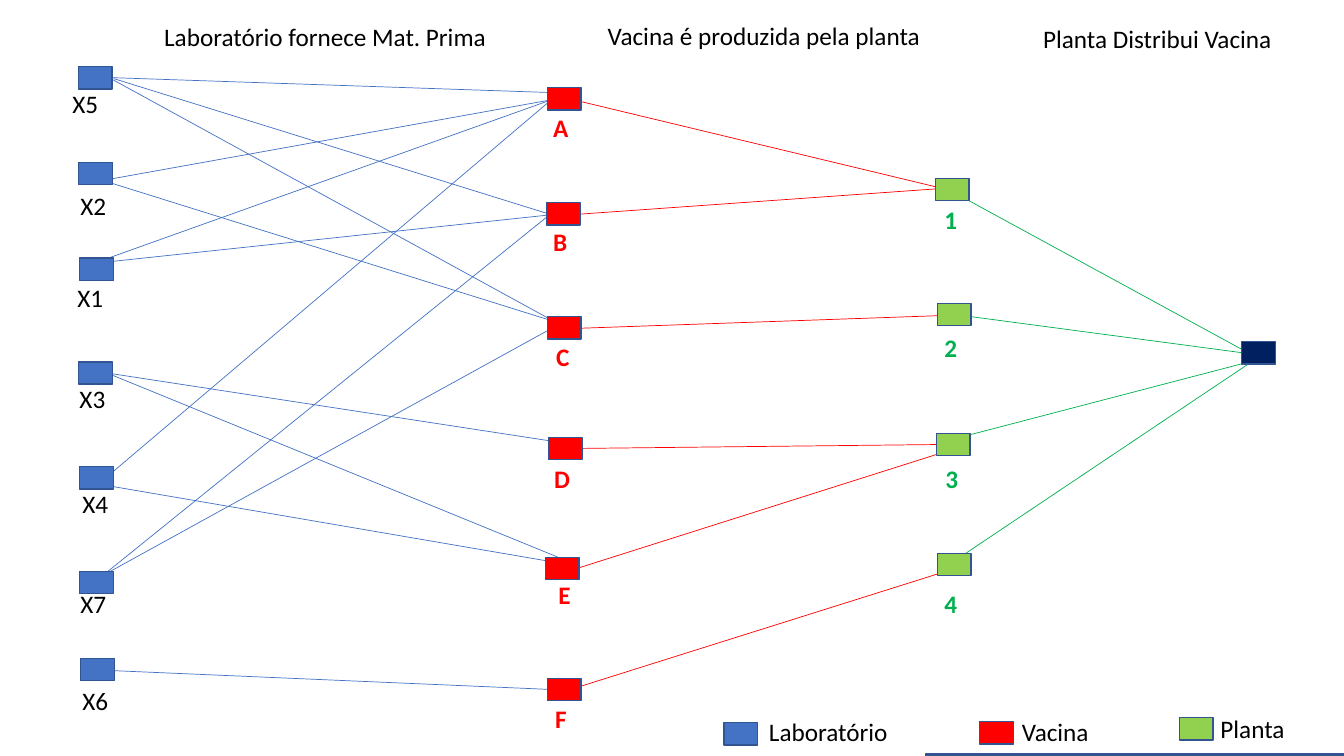
from lxml import etree
from pptx import Presentation
from pptx.dml.color import RGBColor
from pptx.enum.shapes import MSO_CONNECTOR, MSO_SHAPE
from pptx.enum.text import MSO_AUTO_SIZE
from pptx.oxml.ns import qn
from pptx.util import Pt

BLUE, RED, LIME, NAVY = "4472C4", "FF0000", "92D050", "002060"
GREEN, BLACK, BORDER, PALE = "00B050", "000000", "325491", "E3EAF6"
BOX_W, BOX_H, TEXT_H = 24, 16, 29

HEADERS = [
    ("Laboratório fornece Mat. Prima", 110.2, 11.5, 247),
    ("Vacina é produzida pela planta", 427, 10.8, 240.5),
    ("Planta Distribui Vacina", 738, 13, 179.3),
]
LABS = [
    ("X5", (56, 47.5), (44.6, 59.8)),
    ("X2", (56.2, 115.9), (50.4, 132.5)),
    ("X1", (56.9, 184.3), (48.2, 198)),
    ("X3", (56.2, 258.5), (49.7, 270)),
    ("X4", (56.9, 333.4), (51.8, 344.9)),
    ("X7", (56.9, 408.2), (50.4, 416.9)),
    ("X6", (57.6, 470.2), (51.8, 486)),
]
VACCINES = [
    ("A", (391, 62.6), (388.1, 77)),
    ("B", (390.2, 144.7), (388.1, 158.4)),
    ("C", (391, 226.1), (390.2, 240.5)),
    ("D", (391.7, 312.5), (388.8, 327.6)),
    ("E", (389.5, 398.2), (391.7, 410.4)),
    ("F", (391, 484.6), (389.5, 499)),
]
PLANTS = [
    ("1", (668.2, 127.4), (667.4, 142.6)),
    ("2", (669.6, 216.7), (667.4, 234)),
    ("3", (668.9, 309.6), (668.2, 327.6)),
    ("4", (669.6, 395.3), (667.4, 416.9)),
]
LEGEND = [
    ("Laboratório", BLUE, (517, 516.2), (542.2, 508.3), 100),
    ("Vacina", RED, (699.8, 515.5), (722.9, 508.3), 62.6),
    ("Planta", LIME, (842.4, 512.6), (864.7, 506.2), 60.5),
]
A_IN, B_IN, C_IN = (393.8, 71.3), (393.8, 153.4), (396, 229.7)
SUPPLY = [
    ((77.8, 55.4), [(396, 66.2), C_IN]),
    ((81.4, 56.2), [B_IN]),
    ((73.4, 128.9), [A_IN, C_IN]),
    ((73.4, 185.8), [A_IN]),
    ((75.6, 187.2), [B_IN]),
    ((76.3, 266.4), [(396, 315.4), (402.5, 399.6)]),
    ((75.6, 341.3), [A_IN]),
    ((73.4, 346.3), [(397.4, 401.8)]),
    ((73.4, 411.1), [(391.7, 154.1), (393.8, 234.7)]),
    ((75.6, 478.8), [(393.8, 492.5)]),
]
PRODUCTION = [
    ((409.7, 71.3), [(673.2, 134.6)]),
    ((408.2, 153.4), [(673.2, 134.6)]),
    ((408.2, 234.7), [(673.2, 225.4)]),
    ((408.2, 320.4), [(673.2, 317.5)]),
    ((409.7, 406.8), [(675.4, 322.6)]),
    ((409.7, 491.8), [(675.4, 408.2)]),
]
DISTRIBUTION = [
    ((685.4, 139.7), [(892.8, 252.7)]),
    ((687.6, 225.4), [(892.8, 252.7)]),
    ((685.4, 312.5), [(895, 257.8)]),
    ((685.4, 398.2), [(895, 257.8)]),
]


def rgb(color):
    return RGBColor.from_string(color)


def add_box(s, x, y, color, w=BOX_W, h=BOX_H):
    sp = s.shapes.add_shape(MSO_SHAPE.RECTANGLE, Pt(x), Pt(y), Pt(w), Pt(h))
    sp.shadow.inherit = False
    sp.fill.solid()
    sp.fill.fore_color.rgb = rgb(color)
    sp.line.color.rgb = rgb(BORDER)
    sp.line.width = Pt(1)


def add_label(s, text, x, y, w, color=BLACK, bold=False):
    sp = s.shapes.add_textbox(Pt(x), Pt(y), Pt(w), Pt(TEXT_H))
    tf = sp.text_frame
    tf.word_wrap = False
    tf.auto_size = MSO_AUTO_SIZE.SHAPE_TO_FIT_TEXT
    tf.text = text
    font = tf.paragraphs[0].runs[0].font
    font.name, font.size, font.bold = "Calibri", Pt(18), bold
    font.color.rgb = rgb(color)


def add_links(s, links, color):
    for start, ends in links:
        for end in ends:
            points = [Pt(v) for v in start + end]
            line = s.shapes.add_connector(MSO_CONNECTOR.STRAIGHT, *points)
            line.line.color.rgb = rgb(color)
            line.line.width = Pt(0.5)
            etree.SubElement(line._element.spPr, qn("a:effectLst"))


def add_nodes(s, nodes, fill, w, color, bold):
    for text, box, label in nodes:
        add_box(s, *box, fill)
        add_label(s, text, *label, w, color, bold)


def main():
    prs = Presentation()
    prs.slide_width, prs.slide_height = Pt(960), Pt(540)
    s = prs.slides.add_slide(prs.slide_layouts[6])
    add_box(s, 661, 538.6, PALE, 299, 1.4)
    for header in HEADERS:
        add_label(s, *header)
    add_links(s, SUPPLY, BLUE)
    add_links(s, PRODUCTION, RED)
    add_links(s, DISTRIBUTION, GREEN)
    add_nodes(s, LABS, BLUE, 33, BLACK, False)
    add_nodes(s, VACCINES, RED, 24, RED, True)
    add_nodes(s, PLANTS, LIME, 24, GREEN, True)
    add_box(s, 887, 244.1, NAVY)
    for text, fill, box, label, w in LEGEND:
        add_box(s, *box, fill)
        add_label(s, text, *label, w)
    prs.save("out.pptx")


main()
